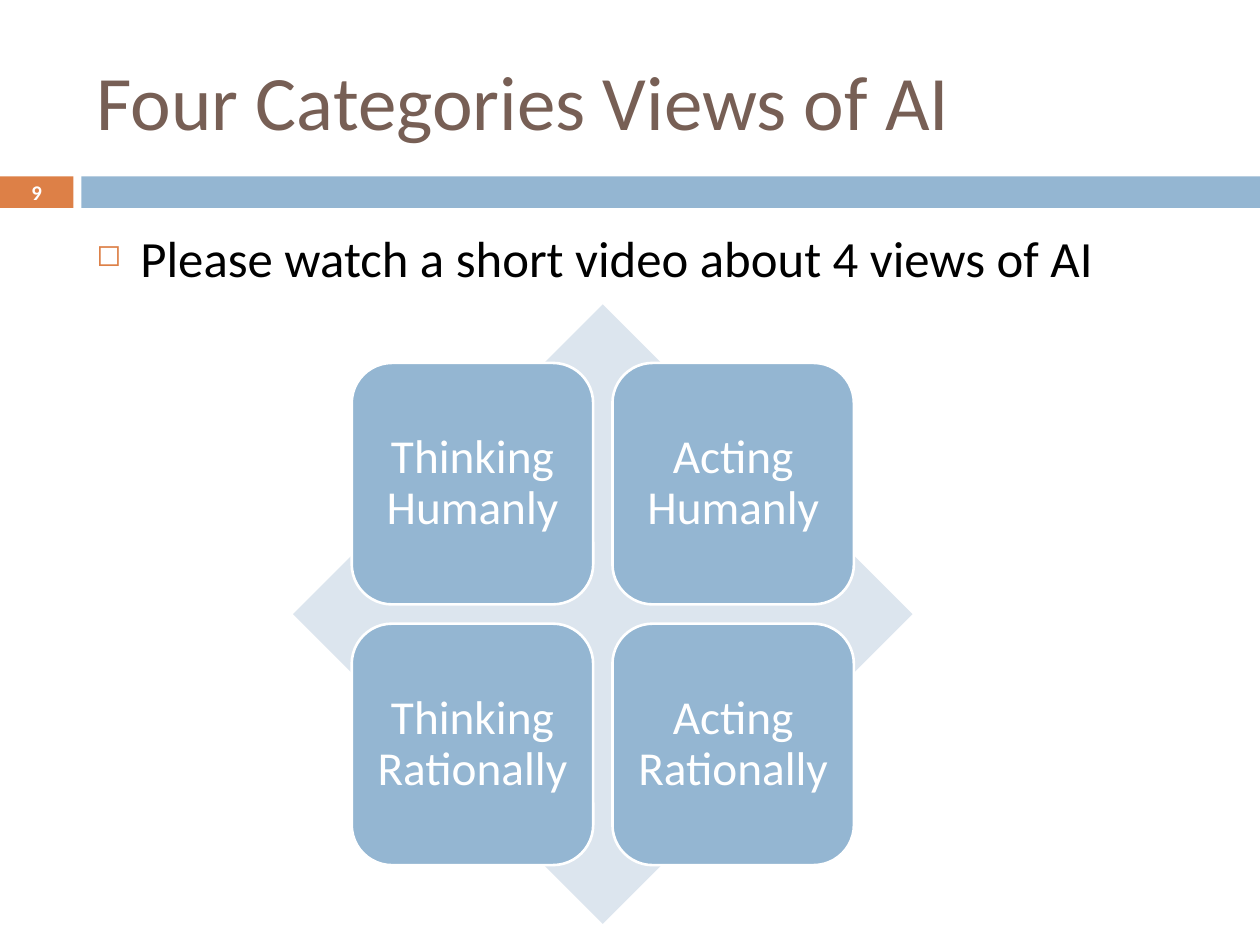
from dataclasses import dataclass
from itertools import product

from lxml import etree
from pptx import Presentation
from pptx.dml.color import RGBColor
from pptx.enum.shapes import MSO_SHAPE
from pptx.enum.text import MSO_ANCHOR, PP_ALIGN
from pptx.oxml.ns import qn
from pptx.util import Pt

RECT, DIAMOND, ROUNDED = MSO_SHAPE.RECTANGLE, MSO_SHAPE.DIAMOND, MSO_SHAPE.ROUNDED_RECTANGLE
TOP, MIDDLE = MSO_ANCHOR.TOP, MSO_ANCHOR.MIDDLE
LEFT, CENTER = PP_ALIGN.LEFT, PP_ALIGN.CENTER
FONT = "Calibri"
COLORS = {
    "title": "775F55",
    "body": "000000",
    "white": "FFFFFF",
    "blue": "94B6D2",
    "pale": "DCE5EE",
    "orange": "DD8047",
}
VIEWS = ["Thinking Humanly", "Acting Humanly", "Thinking Rationally", "Acting Rationally"]
CARD, PITCH = 138, 149
CARD_LEFT, CARD_TOP = 201, 207.4


@dataclass
class Box:
    """A rectangular area in points."""

    left: float
    top: float
    width: float
    height: float

    def lengths(self) -> list[Pt]:
        """Return the four lengths for python-pptx."""
        return [Pt(v) for v in (self.left, self.top, self.width, self.height)]


def rgb(name: str) -> RGBColor:
    """Return the named colour."""
    return RGBColor.from_string(COLORS[name])


def add_block(slide, kind, box: Box, fill: str, line: str | None = None):
    """Draw a filled preset shape."""
    sp = slide.shapes.add_shape(kind, *box.lengths())
    sp.shadow.inherit = False
    sp.fill.solid()
    sp.fill.fore_color.rgb = rgb(fill)
    if line:
        sp.line.color.rgb = rgb(line)
        sp.line.width = Pt(1.5)
    else:
        sp.line.fill.background()
    return sp


def write(sp, text: str, *, size: float, color: str, bold: bool = False, align=LEFT,
          anchor=MIDDLE, inset: float | None = None, spacing: float | None = None):
    """Write one formatted paragraph into a shape and return it."""
    tf = sp.text_frame
    tf.word_wrap = True
    tf.vertical_anchor = anchor
    if inset is not None:
        tf.margin_left = tf.margin_right = tf.margin_top = tf.margin_bottom = Pt(inset)
    p = tf.paragraphs[0]
    p.alignment = align
    p.line_spacing = spacing
    r = p.add_run()
    r.text = text
    r.font.name, r.font.size, r.font.bold = FONT, Pt(size), bold
    r.font.color.rgb = rgb(color)
    return p


def add_bullet(p, char: str, color: str, indent: float, percent: int) -> None:
    """Give a paragraph a coloured hanging bullet."""
    pPr = p._p.get_or_add_pPr()
    pPr.set("marL", str(Pt(indent)))
    pPr.set("indent", str(-Pt(indent)))
    clr = etree.SubElement(pPr, qn("a:buClr"))
    etree.SubElement(clr, qn("a:srgbClr"), val=COLORS[color])
    etree.SubElement(pPr, qn("a:buSzPct"), val=str(percent * 1000))
    etree.SubElement(pPr, qn("a:buChar"), char=char)


def main() -> None:
    """Build the slide and save it."""
    prs = Presentation()
    prs.slide_width, prs.slide_height = Pt(720), Pt(540)
    s = prs.slides.add_slide(prs.slide_layouts[6])

    number = add_block(s, RECT, Box(0, 100.8, 42, 18), "orange")
    write(number, "9", size=11.9, color="white", bold=True, align=CENTER, inset=0)
    add_block(s, RECT, Box(46.5, 100.8, 673.5, 18), "blue")

    title = s.shapes.add_textbox(*Box(48, 18, 642, 78).lengths())
    write(title, "Four Categories Views of AI", size=44, color="title")
    body = s.shapes.add_textbox(*Box(48, 126, 642, 354).lengths())
    p = write(body, "Please watch a short video about 4 views of AI",
              size=29, color="body", anchor=TOP)
    p.space_before = Pt(7)
    add_bullet(p, "◻", "orange", 25.2, 60)

    add_block(s, DIAMOND, Box(167.5, 174, 354, 354), "pale")
    for view, (row, col) in zip(VIEWS, product(range(2), repeat=2)):
        box = Box(CARD_LEFT + col * PITCH, CARD_TOP + row * PITCH, CARD, CARD)
        card = add_block(s, ROUNDED, box, "blue", line="white")
        write(card, view, size=27, color="white", align=CENTER, inset=7, spacing=0.9)

    prs.save("out.pptx")


if __name__ == "__main__":
    main()
